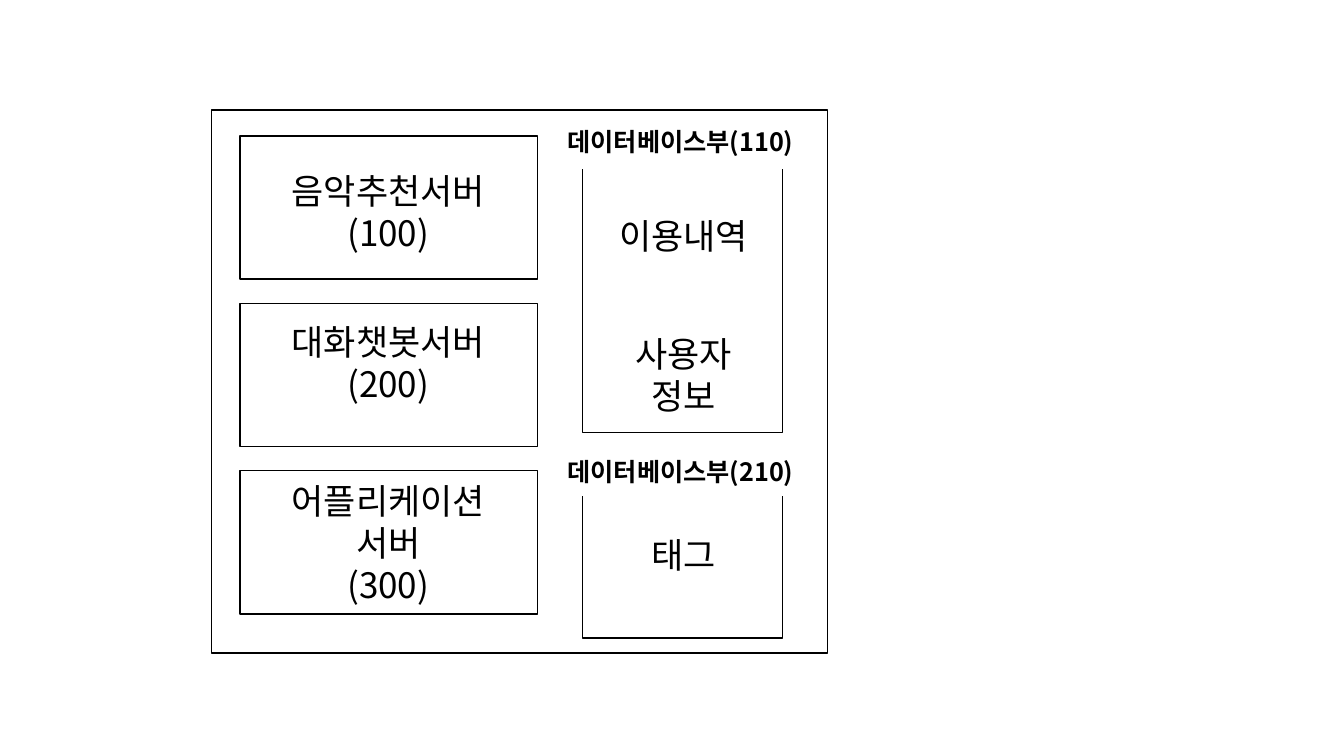
from dataclasses import dataclass

from lxml import etree
from pptx import Presentation
from pptx.dml.color import RGBColor
from pptx.enum.shapes import MSO_SHAPE
from pptx.enum.text import MSO_AUTO_SIZE, PP_ALIGN
from pptx.oxml.ns import qn
from pptx.slide import Slide
from pptx.util import Inches, Pt

RECTANGLE = MSO_SHAPE.RECTANGLE
GROW = MSO_AUTO_SIZE.SHAPE_TO_FIT_TEXT
LEFT = PP_ALIGN.LEFT
CENTER = PP_ALIGN.CENTER

FONT = "Noto Sans CJK KR"
BLACK = "000000"
WHITE = "FFFFFF"
LINE_FACTOR = 1.2

LABEL_FORMAT = {"name": FONT, "size": Pt(18), "bold": True}
BODY_FORMAT = {"name": FONT, "size": Pt(25), "bold": False}


@dataclass(frozen=True)
class Frame:
    left: float
    top: float
    width: float
    height: float
    outline: str = BLACK


@dataclass(frozen=True)
class Line:
    text: str
    gap: float = 0


@dataclass(frozen=True)
class Column:
    left: float
    top: float
    width: float
    height: float
    lines: tuple[Line, ...]
    font_format: dict
    align: PP_ALIGN = CENTER


SERVER_TOP, SERVER_STEP, SERVER_COUNT = 1.35, 1.66, 3

FRAMES = [
    Frame(2.1, 1.09, 6.11, 5.39),
    Frame(5.78, 4.7, 1.98, 1.63),
    Frame(5.78, 1.42, 1.98, 2.87),
    Frame(5.73, 1.24, 2.1, 0.43, WHITE),
    Frame(5.74, 4.48, 2.1, 0.43, WHITE),
    *(
        Frame(2.38, SERVER_TOP + index * SERVER_STEP, 2.95, 1.42)
        for index in range(SERVER_COUNT)
    ),
]

COLUMNS = [
    Column(5.53, 1.2, 2.52, 0.4, (Line("데이터베이스부(110)"),), LABEL_FORMAT, LEFT),
    Column(5.53, 4.48, 2.52, 0.4, (Line("데이터베이스부(210)"),), LABEL_FORMAT, LEFT),
    Column(
        5.66, 2.08, 2.24, 3.8,
        (Line("이용내역"), Line("사용자", 54), Line("정보"), Line("태그", 84)),
        BODY_FORMAT,
    ),
    Column(
        2.59, 1.63, 2.52, 4.48,
        (
            Line("음악추천서버"), Line("(100)"),
            Line("대화챗봇서버", 48), Line("(200)"),
            Line("어플리케이션", 54), Line("서버"), Line("(300)"),
        ),
        BODY_FORMAT,
    ),
]


def color(value: str) -> RGBColor:
    return RGBColor.from_string(value)


def draw_frame(page: Slide, frame: Frame) -> None:
    box = page.shapes.add_shape(
        RECTANGLE, Inches(frame.left), Inches(frame.top),
        Inches(frame.width), Inches(frame.height),
    )
    box.shadow.inherit = False
    box.fill.solid()
    box.fill.fore_color.rgb = color(WHITE)
    box.line.color.rgb = color(frame.outline)
    box.line.width = Pt(1)


def draw_column(page: Slide, column: Column) -> None:
    box = page.shapes.add_textbox(
        Inches(column.left), Inches(column.top),
        Inches(column.width), Inches(column.height),
    )
    text_frame = box.text_frame
    text_frame.word_wrap = True
    text_frame.auto_size = GROW
    for index, line in enumerate(column.lines):
        para = text_frame.add_paragraph() if index else text_frame.paragraphs[0]
        para.alignment = column.align
        para.line_spacing = Pt(column.font_format["size"].pt * LINE_FACTOR)
        if line.gap:
            para.space_before = Pt(line.gap)
        span = para.add_run()
        span.text = line.text
        for name, value in column.font_format.items():
            setattr(span.font, name, value)
        span.font.color.rgb = color(BLACK)
        properties = span._r.get_or_add_rPr()
        etree.SubElement(properties, qn("a:ea"), typeface=FONT)


def main() -> None:
    deck = Presentation()
    deck.slide_width = Inches(13.33)
    deck.slide_height = Inches(7.5)
    page = deck.slides.add_slide(deck.slide_layouts[6])
    for frame in FRAMES:
        draw_frame(page, frame)
    for column in COLUMNS:
        draw_column(page, column)
    deck.save("out.pptx")


if __name__ == "__main__":
    main()
